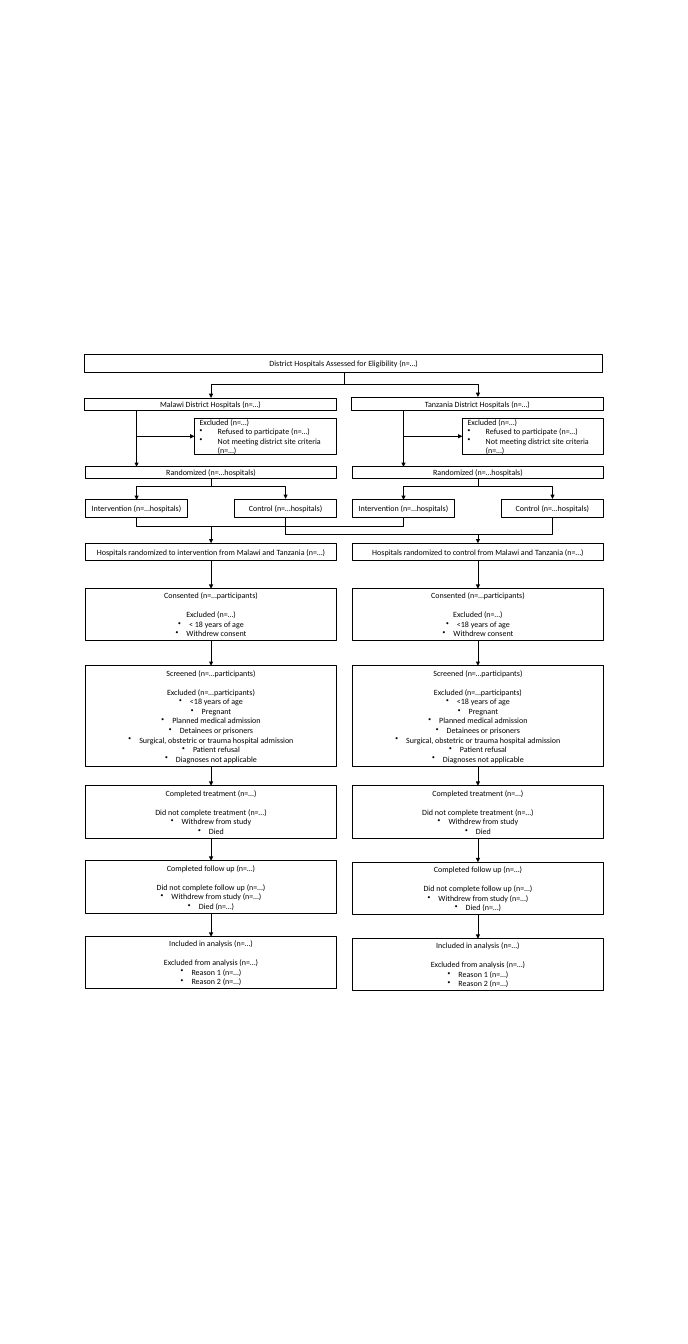
from dataclasses import dataclass

from lxml import etree
from pptx import Presentation
from pptx.dml.color import RGBColor
from pptx.enum.shapes import MSO_CONNECTOR, MSO_SHAPE
from pptx.enum.text import MSO_ANCHOR, PP_ALIGN
from pptx.oxml.ns import qn
from pptx.util import Inches, Pt

RECT = MSO_SHAPE.RECTANGLE
STRAIGHT, ELBOW = MSO_CONNECTOR.STRAIGHT, MSO_CONNECTOR.ELBOW
LEFT, CENTER = PP_ALIGN.LEFT, PP_ALIGN.CENTER
MIDDLE = MSO_ANCHOR.MIDDLE


@dataclass
class Theme:
    font: str = "Calibri"
    size: float = 11.1
    ink: RGBColor = RGBColor(0, 0, 0)
    paper: RGBColor = RGBColor(255, 255, 255)
    line: float = 1.25
    gap: float = 13.5


theme = Theme()
deck = Presentation()
deck.slide_width, deck.slide_height = Inches(13.3), Inches(26)
slide = deck.slides.add_slide(deck.slide_layouts[6])
shapes = slide.shapes


def add_box(x, y, w, h, heads, items=(), align=CENTER, indent=0.21):
    """Draw a box with heading lines, then bulleted items."""
    box = shapes.add_shape(RECT, Inches(x), Inches(y), Inches(w), Inches(h))
    box.shadow.inherit = False
    box.fill.solid()
    box.fill.fore_color.rgb = theme.paper
    box.line.color.rgb = theme.ink
    box.line.width = Pt(theme.line)
    frame = box.text_frame
    frame.word_wrap = True
    frame.vertical_anchor = MIDDLE
    for i, text in enumerate([*heads, *items]):
        para = frame.paragraphs[0] if i == 0 else frame.add_paragraph()
        para.text = text
        para.alignment = align
        para.font.name = theme.font
        para.font.size = Pt(theme.size)
        para.font.color.rgb = theme.ink
        if 0 < i < len(heads):
            para.space_before = Pt(theme.gap)
        if i >= len(heads):
            props = para._p.get_or_add_pPr()
            props.set("marL", str(Inches(indent)))
            props.set("indent", str(-Inches(indent)))
            bullet = etree.Element(qn("a:buChar"), char="•")
            props.find(qn("a:defRPr")).addprevious(bullet)


def add_line(x1, y1, x2, y2, ends=("tailEnd",), bus=None):
    """Draw a line; with a bus height, a U-shaped elbow that runs along it."""
    link = shapes.add_connector(STRAIGHT if bus is None else ELBOW,
                                Inches(x1), Inches(y1), Inches(x2), Inches(y2))
    link.line.color.rgb = theme.ink
    link.line.width = Pt(theme.line)
    props = link._element.spPr
    for end in ends:
        etree.SubElement(link.line._get_or_add_ln(), qn("a:" + end), type="triangle")
    etree.SubElement(props, qn("a:effectLst"))
    if bus is not None:
        # A quarter turn makes the elbow leave its ends vertically
        thin, span = 0.02, x2 - x1
        link.left, link.top = Inches((x1 + x2 - thin) / 2), Inches(y1 - span / 2)
        link.width, link.height = Inches(thin), Inches(span)
        frame = props.find(qn("a:xfrm"))
        turn = {"rot": "5400000", "flipH": "1", "flipV": "1"}
        if bus > y1:
            turn = {"rot": "16200000", "flipH": "1"}
        for key, value in turn.items():
            frame.set(key, value)
        ratio = (abs(bus - y1) + thin / 2) / thin
        guides = props.find(qn("a:prstGeom")).get_or_add_avLst()
        etree.SubElement(guides, qn("a:gd"), name="adj1",
                         fmla=f"val {round(ratio * 100000)}")


# Grid: two columns, each split into two arms
cols = [1.66, 6.82]
wide, arm = 4.84, 1.96
mids = [x + wide / 2 for x in cols]
stems = [x + arm / 2 for x in cols]
ends = [x + wide - arm / 2 for x in cols]
both = ("headEnd", "tailEnd")

# Eligibility and the split by country
add_box(1.64, 6.86, 10.01, 0.35, ["District Hospitals Assessed for Eligibility (n=…)"])
add_line(6.65, 7.22, 6.65, 7.43, ends=())
add_line(mids[0], 7.69, mids[1], 7.69, both, bus=7.43)

# Country boxes, exclusions and randomization
for land, x, mid, stem, end, top, side in zip(
        ["Malawi", "Tanzania"], cols, mids, stems, ends, [7.7, 7.68], [3.76, 8.94]):
    right = x + wide
    add_box(x - 0.02, top, wide + 0.02, 7.95 - top, [f"{land} District Hospitals (n=…)"])
    add_box(side, 8.09, right - side, 0.7, ["Excluded (n=…)"],
            ["Refused to participate (n=…)", "Not meeting district site criteria (n=…)"],
            LEFT, 0.35)
    add_box(x, 9.03, wide, 0.22, ["Randomized (n=…hospitals)"])
    add_box(x, 9.66, arm, 0.36, ["Intervention (n=…hospitals)"])
    add_box(right - arm, 9.66, arm, 0.36, ["Control (n=…hospitals)"])
    add_line(stem, 7.95, stem, 9.03)
    add_line(stem, 8.44, side, 8.44)
    add_line(mid, 9.26, mid, 9.42, ends=())
    add_line(stem, 9.66, end, 9.66, both, bus=9.42)

# Arms merge across the countries
for group, x, mid, starts, bus in zip(
        ["intervention", "control"], cols, mids, [stems, ends], [10.19, 10.34]):
    add_box(x, 10.51, wide, 0.34,
            [f"Hospitals randomized to {group} from Malawi and Tanzania (n=…)"])
    add_line(starts[0], 10.02, starts[1], 10.02, (), bus=bus)
    add_line(mid, bus, mid, 10.51)

# Participant stages: tops by column, height, headings, bullets
stages = [
    ([11.39, 11.39], 1, ["Consented (n=…participants)", "Excluded (n=…)"],
     ["{age}", "Withdrew consent"]),
    ([12.88, 12.88], 1.94, ["Screened (n=…participants)", "Excluded (n=…participants)"],
     ["<18 years of age", "Pregnant", "Planned medical admission",
      "Detainees or prisoners", "Surgical, obstetric or trauma hospital admission",
      "Patient refusal", "Diagnoses not applicable"]),
    ([15.2, 15.2], 1.02, ["Completed treatment (n=…)", "Did not complete treatment (n=…)"],
     ["Withdrew from study", "Died"]),
    ([16.65, 16.68], 1.02, ["Completed follow up (n=…)", "Did not complete follow up (n=…)"],
     ["Withdrew from study (n=…)", "Died (n=…)"]),
    ([18.12, 18.16], 1, ["Included in analysis (n=…)", "Excluded from analysis (n=…)"],
     ["Reason 1 (n=…)", "Reason 2 (n=…)"]),
]
ages = ["< 18 years of age", "<18 years of age"]
for i, (x, mid, age) in enumerate(zip(cols, mids, ages)):
    last = 10.85
    for tops, high, heads, items in stages:
        top = tops[i]
        add_box(x, top, wide, high, heads, [item.format(age=age) for item in items])
        add_line(mid, last, mid, top)
        last = top + high

deck.save("out.pptx")
